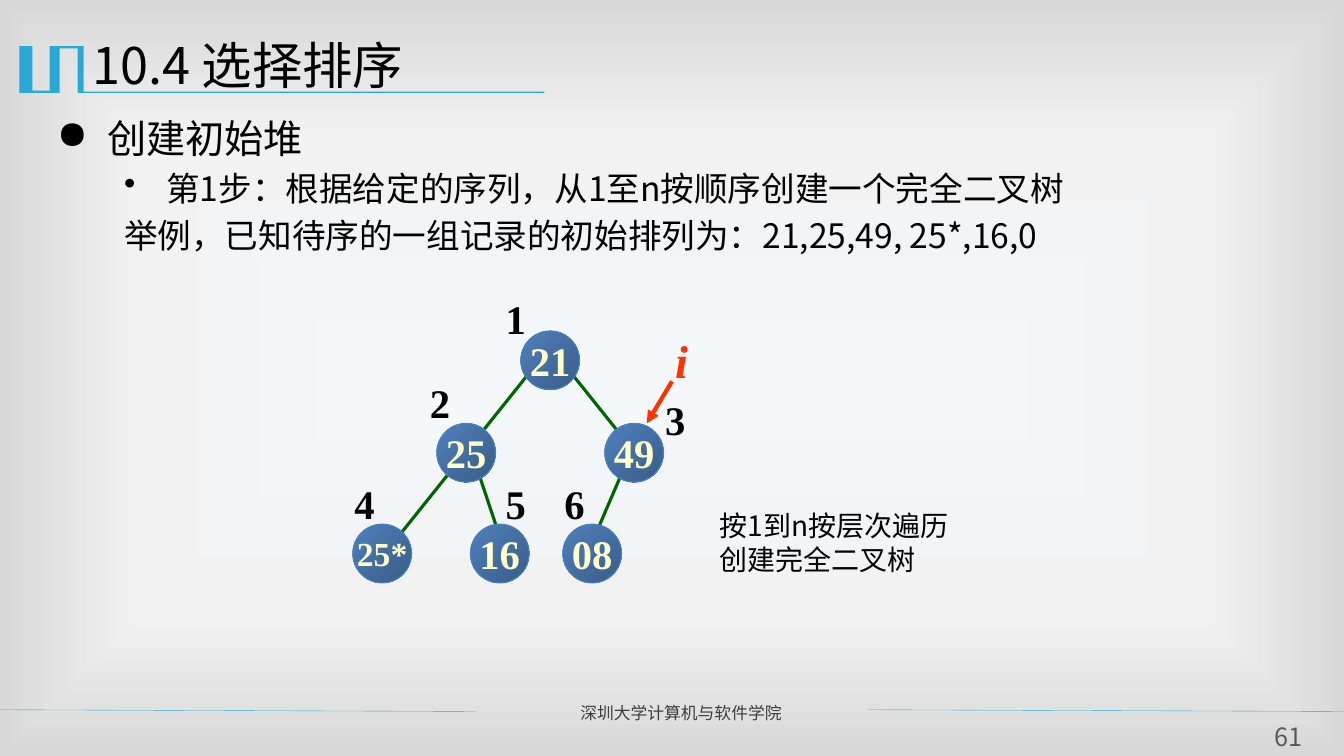
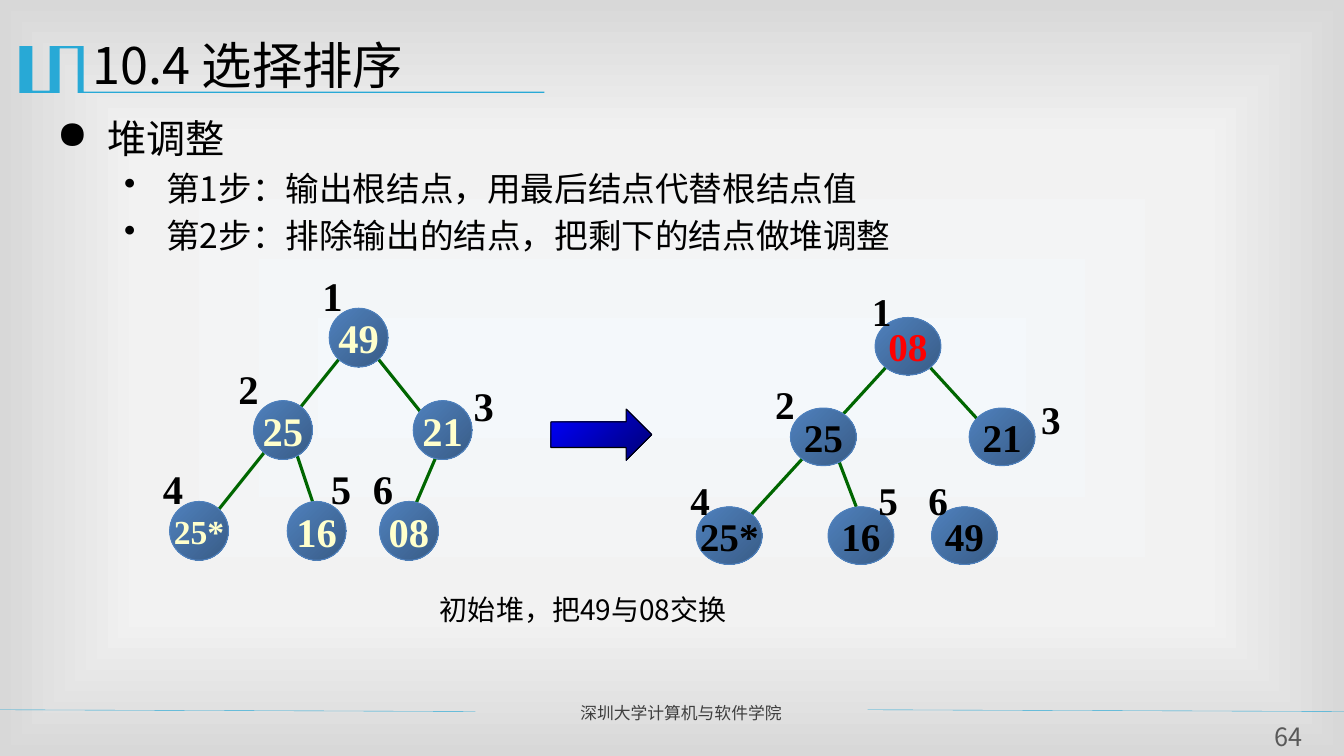
from dataclasses import dataclass

from lxml import etree
from pptx import Presentation
from pptx import util as u
from pptx.dml.color import RGBColor
from pptx.enum import shapes, text
from pptx.oxml import ns

CELL = u.Inches(1) / 12  # the slide is a grid of 160 by 90 cells
COLS, ROWS = 160, 90


@dataclass(frozen=True)
class Theme:
    sans: str = "Noto Sans CJK SC"
    serif: str = "Times New Roman"
    black: str = "000000"
    gray: str = "595959"
    dark: str = "3F3F3F"
    band: str = "28A9D6"
    edge: str = "006600"
    mark: str = "FF3300"
    red: str = "FF0000"
    cream: str = "FFFFCC"
    rim: str = "4F81BD"
    ball: tuple[str, str] = ("4F81BD", "395C87")
    arrow: tuple[str, str] = ("0000FF", "000076")
    back: tuple[tuple[int, str], ...] = ((0, "F4F8FB"), (63, "F2F2F2"), (100, "D8D8D8"))
    title: int = 36
    head: int = 28
    item: int = 24
    note: int = 20
    page: int = 18
    foot: int = 12
    index: int = 33


T = Theme()


@dataclass(frozen=True)
class Item:
    words: str
    bullet: str = ""
    left: float = 8
    hang: float = 0
    size: int = T.item


@dataclass(frozen=True)
class Node:
    words: str
    col: float
    row: float
    tag: tuple[float, float]  # cell of the node's number
    size: int = 29
    color: str = T.cream


@dataclass(frozen=True)
class Tree:
    left: float
    top: float
    nodes: tuple[Node, ...]
    edges: tuple[tuple[float, float, float, float], ...]
    tags: int = 29
    wide: float = 1
    high: float = 1

    def at(self, col: float, row: float) -> tuple[float, float]:
        return self.left + col * self.wide, self.top + row * self.high


def cells(*nums: float) -> list[int]:
    return [round(n * CELL) for n in nums]


def rgb(code: str) -> RGBColor:
    return RGBColor.from_string(code)


# Text
def write(frame, words: str, *, size: float, font: str = T.sans, color: str = T.black,
          bold: bool = False, italic: bool = False, align=text.PP_ALIGN.LEFT,
          left: float = 0, hang: float = 0, bullet: str = "",
          lead: float = 1.3, before: float = 0) -> None:
    par = frame.add_paragraph() if frame.text else frame.paragraphs[0]
    props = par._p.get_or_add_pPr()
    props.set("marL", str(cells(left)[0]))
    props.set("indent", str(-cells(hang)[0]))
    if bullet:
        etree.SubElement(props, ns.qn("a:buChar")).set("char", bullet)
    par.alignment = align
    par.space_before = u.Pt(before)
    if font == T.sans:
        par.line_spacing = u.Pt(size * lead)
    run = par.add_run()
    run.text = words
    face = run.font
    face.size, face.bold, face.italic = u.Pt(size), bold, italic
    face.color.rgb = rgb(color)
    face.name = font
    etree.SubElement(run._r.get_or_add_rPr(), ns.qn("a:ea")).set("typeface", font)


def box(slide, left: float, top: float, wide: float, high: float, wrap: bool = True):
    frame = slide.shapes.add_textbox(*cells(left, top, wide, high)).text_frame
    frame.word_wrap = wrap
    return frame


# Lines and filled shapes
def line(slide, ends: tuple[float, ...], color: str, width: float, tip: bool = False) -> None:
    link = slide.shapes.add_connector(shapes.MSO_CONNECTOR.STRAIGHT, *cells(*ends))
    link.line.color.rgb = rgb(color)
    link.line.width = u.Pt(width)
    if tip:
        etree.SubElement(link.line._get_or_add_ln(), ns.qn("a:tailEnd")).set("type", "triangle")
    etree.SubElement(link._element.spPr, ns.qn("a:effectLst"))


def solid(slide, kind, place: tuple[float, ...], shades: tuple[str, str], rim: str):
    form = slide.shapes.add_shape(kind, *cells(*place))
    form.shadow.inherit = False
    form.fill.gradient()
    form.fill.gradient_angle = 315
    for stop, shade in zip(form.fill.gradient_stops, shades):
        stop.color.rgb = rgb(shade)
    form.line.color.rgb = rgb(rim)
    form.line.width = u.Pt(0.75)
    return form


def plant(slide, tree: Tree) -> None:
    for a, b, c, d in tree.edges:
        line(slide, (*tree.at(a, b), *tree.at(c, d)), tree_color(), 2.25)
    for node in tree.nodes:
        place = (*tree.at(node.col, node.row), 7 * tree.wide, 7 * tree.high)
        ball = solid(slide, shapes.MSO_SHAPE.OVAL, place, T.ball, T.rim)
        frame = ball.text_frame
        frame.word_wrap = False
        frame.vertical_anchor = text.MSO_ANCHOR.MIDDLE
        write(frame, node.words, size=node.size, font=T.serif, color=node.color,
              bold=True, align=text.PP_ALIGN.CENTER)
    for num, node in enumerate(tree.nodes, 1):
        frame = box(slide, *tree.at(*node.tag), 4.8 * tree.wide, 7 * tree.high, wrap=False)
        write(frame, str(num), size=tree.tags, font=T.serif, bold=True,
              align=text.PP_ALIGN.CENTER)


def tree_color() -> str:
    return T.edge


# Parts shared by all slides
def paint(slide) -> None:
    slide.background.fill.gradient()
    grad = slide.element.find(".//" + ns.qn("a:gradFill"))
    for part in list(grad):
        grad.remove(part)
    stops = etree.SubElement(grad, ns.qn("a:gsLst"))
    for spot, shade in T.back:
        stop = etree.SubElement(stops, ns.qn("a:gs"), pos=str(spot * 1000))
        etree.SubElement(stop, ns.qn("a:srgbClr"), val=shade)
    way = etree.SubElement(grad, ns.qn("a:path"))
    way.set("path", "rect")
    etree.SubElement(way, ns.qn("a:fillToRect"), **dict.fromkeys("ltrb", "50000"))


def badge(slide) -> None:
    top, base = 5.5, 11.05
    points = [(9.96, top), (9.96, 10.9), (64.8, 10.9), (64.8, base), (9.25, base),
              (9.25, 5.75), (7.1, 5.75), (7.1, base), (2.3, base), (2.3, top),
              (3.85, top), (3.85, 10.8), (5.9, 10.8), (5.9, top)]
    pen = slide.shapes.build_freeform(*cells(*points[0]))
    pen.add_line_segments([cells(*p) for p in points[1:]], close=True)
    form = pen.convert_to_shape()
    form.shadow.inherit = False
    form.fill.solid()
    form.fill.fore_color.rgb = rgb(T.band)
    form.line.fill.background()


def start(deck, page: int, items: list[Item]):
    slide = deck.slides.add_slide(deck.slide_layouts[6])
    paint(slide)
    badge(slide)
    for left, right in ((0, 56.6), (103.3, COLS)):
        line(slide, (left, 84.5, right, 84.7), T.band, 0.25)
    write(box(slide, 67.9, 82.9, 34.2, 3.6), "深圳大学计算机与软件学院",
          size=T.foot, color=T.dark)
    body = box(slide, 5.6, 12.5, 145.6, 16.4)
    for i, item in enumerate(items):
        write(body, item.words, size=item.size, bullet=item.bullet,
              left=item.left, hang=item.hang, before=2.4 if i else 0)
    title = box(slide, 9.84, 2.2, 144, 10.4)
    title.vertical_anchor = text.MSO_ANCHOR.MIDDLE
    write(title, "10.4 选择排序", size=T.title)
    foot = box(slide, 149.8, 85.6, 7.1, 3.7)
    foot.margin_left = foot.margin_right = foot.margin_top = foot.margin_bottom = 0
    write(foot, str(page), size=T.page, color=T.gray, align=text.PP_ALIGN.CENTER)
    return slide


def head(words: str) -> Item:
    return Item(words, "●", 6, 6, T.head)


def step(words: str) -> Item:
    return Item(words, "•", 13, 5)


# Slides
def build(deck) -> None:
    slide = start(deck, 61, [
        head("创建初始堆"),
        step("第1步：根据给定的序列，从1至n按顺序创建一个完全二叉树"),
        Item("举例，已知待序的一组记录的初始排列为：21,25,49, 25*,16,0"),
    ])
    plant(slide, Tree(42, 39.4, (
        Node("21", 20, 0, (17, -5)),
        Node("25", 10, 11, (8, 5)),
        Node("49", 30, 11, (36, 7)),
        Node("25*", 0, 23, (-1, 17), 24),
        Node("16", 14, 23, (17, 17)),
        Node("08", 25, 23, (24, 17)),
    ), ((32, 17, 29, 24), (15, 17, 17, 23), (26, 5, 34, 15), (21, 5, 5, 25))))
    line(slide, (80, 45.4, 77, 50.4), T.mark, 3, tip=True)
    write(box(slide, 79.2, 39, 4, 7.8, wrap=False), "i", size=T.index,
          font=T.serif, color=T.mark, bold=True, italic=True)
    write(box(slide, 84.5, 60, 31.5, 9), "按1到n按层次遍历创建完全二叉树",
          size=T.note, lead=1.2)


def adjust(deck) -> None:
    slide = start(deck, 64, [
        head("堆调整"),
        step("第1步：输出根结点，用最后结点代替根结点值"),
        step("第2步：排除输出的结点，把剩下的结点做堆调整"),
    ])
    write(box(slide, 45.2, 70, 44.7, 8), "初始堆，把49与08交换",
          size=T.note, left=12.7, hang=6.7, lead=1.2)
    edges = ((24, 5, 32, 15), (15, 17, 17, 23), (21, 5, 5, 25))
    plant(slide, Tree(20.2, 36.7, (
        Node("49", 19, 0, (17, -5)),
        Node("25", 10, 11, (7, 6)),
        Node("21", 29, 11, (35, 8)),
        Node("25*", 0, 23, (-2, 18), 24),
        Node("16", 14, 23, (18, 18)),
        Node("08", 25, 23, (23, 18)),
    ), ((32, 17, 29, 24), *edges)))
    plant(slide, Tree(82.9, 37.8, (
        Node("08", 19, 0, (17.3, -4.3), 28, T.red),
        Node("25", 10, 11, (7, 7), 28, T.black),
        Node("21", 29, 11, (35.3, 8.8), 28, T.black),
        Node("25*", 0, 23, (-2, 18.7), 28, T.black),
        Node("16", 14, 23, (18, 18.7), 28, T.black),
        Node("49", 25, 23, (23.3, 18.7), 28, T.black),
    ), edges, tags=28, wide=1.12, high=0.98))
    solid(slide, shapes.MSO_SHAPE.RIGHT_ARROW, (65.6, 48.7, 12, 6.1), T.arrow, T.black)


def main() -> None:
    deck = Presentation()
    deck.slide_width, deck.slide_height = cells(COLS, ROWS)
    build(deck)
    adjust(deck)
    deck.save("out.pptx")


if __name__ == "__main__":
    main()
